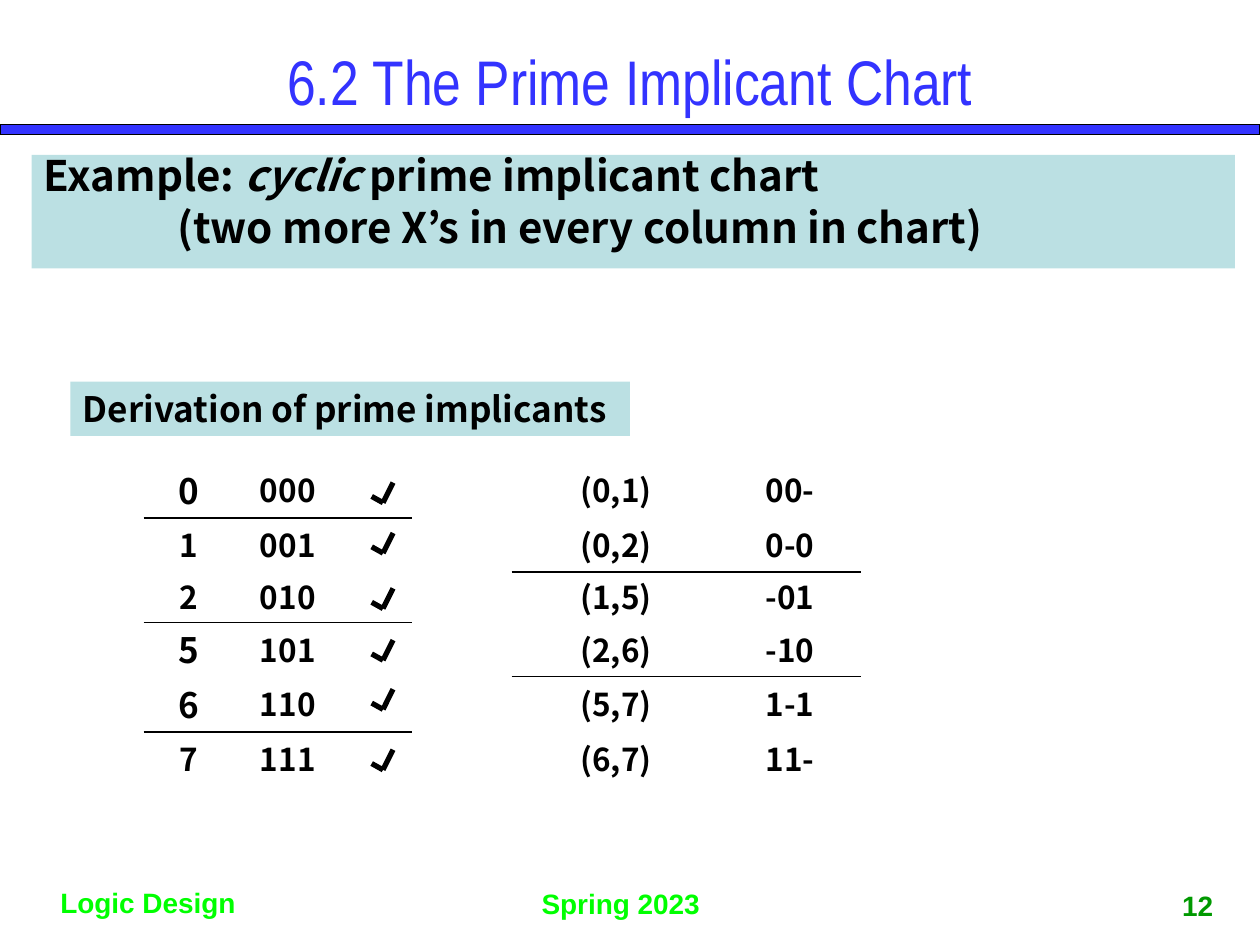
from dataclasses import dataclass

from pptx import Presentation
from pptx.dml.color import RGBColor
from pptx.enum.shapes import MSO_CONNECTOR, MSO_SHAPE
from pptx.enum.text import MSO_ANCHOR, PP_ALIGN
from pptx.oxml.ns import qn
from pptx.shapes.autoshape import Shape
from pptx.slide import Slide
from pptx.util import Inches, Pt

BLACK = RGBColor(0x00, 0x00, 0x00)
BLUE = RGBColor(0x33, 0x33, 0xFF)
PALE_TEAL = RGBColor(0xBB, 0xE0, 0xE3)
LIME = RGBColor(0x00, 0xFF, 0x00)
GREEN = RGBColor(0x00, 0x99, 0x00)
BODY_FONT = "Noto Sans CJK KR"
TICK_LEFT, TICK_BOTTOM, TICK_RIGHT = 2.95, 3.04, 3.12


@dataclass(frozen=True)
class Box:
    left: float
    top: float
    width: float
    height: float


@dataclass(frozen=True)
class Column:
    left: float
    width: float
    values: tuple[str, ...]
    large_rows: tuple[int, ...] = ()


ROW_EDGES = (3.67, 4.11, 4.54, 4.94, 5.37, 5.81, 6.24)
COLUMNS = (
    Column(1.14, 0.71, ("0", "1", "2", "5", "6", "7"), large_rows=(0, 3, 4)),
    Column(1.85, 0.87, ("000", "001", "010", "101", "110", "111")),
    Column(4.06, 1.66, ("(0,1)", "(0,2)", "(1,5)", "(2,6)", "(5,7)", "(6,7)")),
    Column(5.71, 1.12, ("00-", "0-0", "-01", "-10", "1-1", "11-")),
)
CENTERED_COLUMN = 2
GROUP_RULES = ((1.14, 3.27, (1, 3, 5)), (4.06, 6.83, (2, 4)))
TICK_TOPS = (3.83, 4.23, 4.67, 5.08, 5.47, 5.95)


def add_rectangle(slide: Slide, box: Box, fill: RGBColor, outline: RGBColor | None = None) -> Shape:
    shape = slide.shapes.add_shape(
        MSO_SHAPE.RECTANGLE, Inches(box.left), Inches(box.top), Inches(box.width), Inches(box.height)
    )
    shape.shadow.inherit = False
    shape.fill.solid()
    shape.fill.fore_color.rgb = fill
    if outline is None:
        shape.line.fill.background()
    else:
        shape.line.color.rgb = outline
        shape.line.width = Pt(0.75)
    return shape


def add_text(
    slide: Slide,
    box: Box,
    *lines: str | tuple[str, ...],
    size: float = 18,
    font: str = BODY_FONT,
    color: RGBColor = BLACK,
    bold: bool = True,
    align: PP_ALIGN = PP_ALIGN.LEFT,
    anchor: MSO_ANCHOR = MSO_ANCHOR.TOP,
    fill: RGBColor | None = None,
    line_spacing: float = 1.0,
    space_before: float = 0,
    next_indent: float = 0,
) -> None:
    """Add lines of text; in a line given as a tuple, every second run is italic."""
    if fill is None:
        shape = slide.shapes.add_textbox(
            Inches(box.left), Inches(box.top), Inches(box.width), Inches(box.height)
        )
    else:
        shape = add_rectangle(slide, box, fill)
    frame = shape.text_frame
    frame.word_wrap = True
    frame.vertical_anchor = anchor
    for index, line in enumerate(lines):
        paragraph = frame.add_paragraph() if index else frame.paragraphs[0]
        paragraph.alignment = align
        paragraph.line_spacing = line_spacing
        if index:
            paragraph.space_before = Pt(space_before)
            paragraph._p.get_or_add_pPr().set("marL", str(Inches(next_indent)))
        for position, text in enumerate((line,) if isinstance(line, str) else line):
            run = paragraph.add_run()
            run.text = text
            run.font.name = font
            run.font.size = Pt(size)
            run.font.bold = bold
            run.font.italic = position % 2 == 1
            run.font.color.rgb = color
            properties = run._r.get_or_add_rPr()
            east_asian = properties.makeelement(qn("a:ea"), {"typeface": font})
            properties.find(qn("a:latin")).addnext(east_asian)


def add_line(slide: Slide, start: tuple[float, float], end: tuple[float, float], width: float) -> None:
    connector = slide.shapes.add_connector(
        MSO_CONNECTOR.STRAIGHT, *(Inches(value) for value in (*start, *end))
    )
    connector.line.color.rgb = BLACK
    connector.line.width = Pt(width)
    properties = connector._element.spPr
    properties.append(properties.makeelement(qn("a:effectLst"), {}))


def add_tick(slide: Slide, top: float) -> None:
    corner = (TICK_BOTTOM, top + 0.16)
    add_line(slide, (TICK_LEFT, top + 0.11), corner, 3)
    add_line(slide, corner, (TICK_RIGHT, top), 3)


def add_implicant_columns(slide: Slide) -> None:
    for column in COLUMNS:
        for row, value in enumerate(column.values):
            top, bottom = ROW_EDGES[row : row + 2]
            add_text(
                slide,
                Box(column.left, top, column.width, bottom - top),
                value,
                size=20 if row in column.large_rows else 18,
                align=PP_ALIGN.CENTER,
                anchor=MSO_ANCHOR.MIDDLE,
            )
    for left, right, edges in GROUP_RULES:
        for edge in edges:
            add_line(slide, (left, ROW_EDGES[edge]), (right, ROW_EDGES[edge]), 1)
    for top in TICK_TOPS:
        add_tick(slide, top)


def main() -> None:
    presentation = Presentation()
    presentation.slide_width = Inches(10)
    presentation.slide_height = Inches(7.5)
    slide = presentation.slides.add_slide(presentation.slide_layouts[6])

    add_rectangle(slide, Box(0, 0.99, 10, 0.08), BLUE, outline=BLACK)
    footer = {"size": 16, "font": "Arial"}
    add_text(slide, Box(4.2, 6.99, 1.59, 0.37), "Spring 2023", color=LIME, **footer)
    add_text(
        slide, Box(0.27, 6.98, 1.81, 0.37), "Logic Design", color=LIME, align=PP_ALIGN.CENTER, **footer
    )
    add_text(
        slide, Box(9.13, 6.9, 0.75, 0.47), "12",
        color=GREEN, align=PP_ALIGN.CENTER, anchor=MSO_ANCHOR.BOTTOM, **footer,
    )
    add_text(
        slide, Box(0.5, 0.36, 9, 0.55), "6.2 The Prime Implicant Chart",
        size=36, font="Arial Narrow", color=BLUE, bold=False,
        align=PP_ALIGN.CENTER, anchor=MSO_ANCHOR.MIDDLE,
    )
    add_text(
        slide, Box(0.25, 1.23, 9.55, 0.9),
        ("Example: ", "cyclic", " prime implicant chart"),
        "(two more X’s in every column in chart)",
        size=24, fill=PALE_TEAL, line_spacing=0.75, space_before=8, next_indent=1.06,
    )
    add_text(
        slide, Box(0.56, 3.03, 4.44, 0.43), "Derivation of prime implicants", size=20, fill=PALE_TEAL
    )
    add_implicant_columns(slide)
    presentation.save("out.pptx")


if __name__ == "__main__":
    main()
